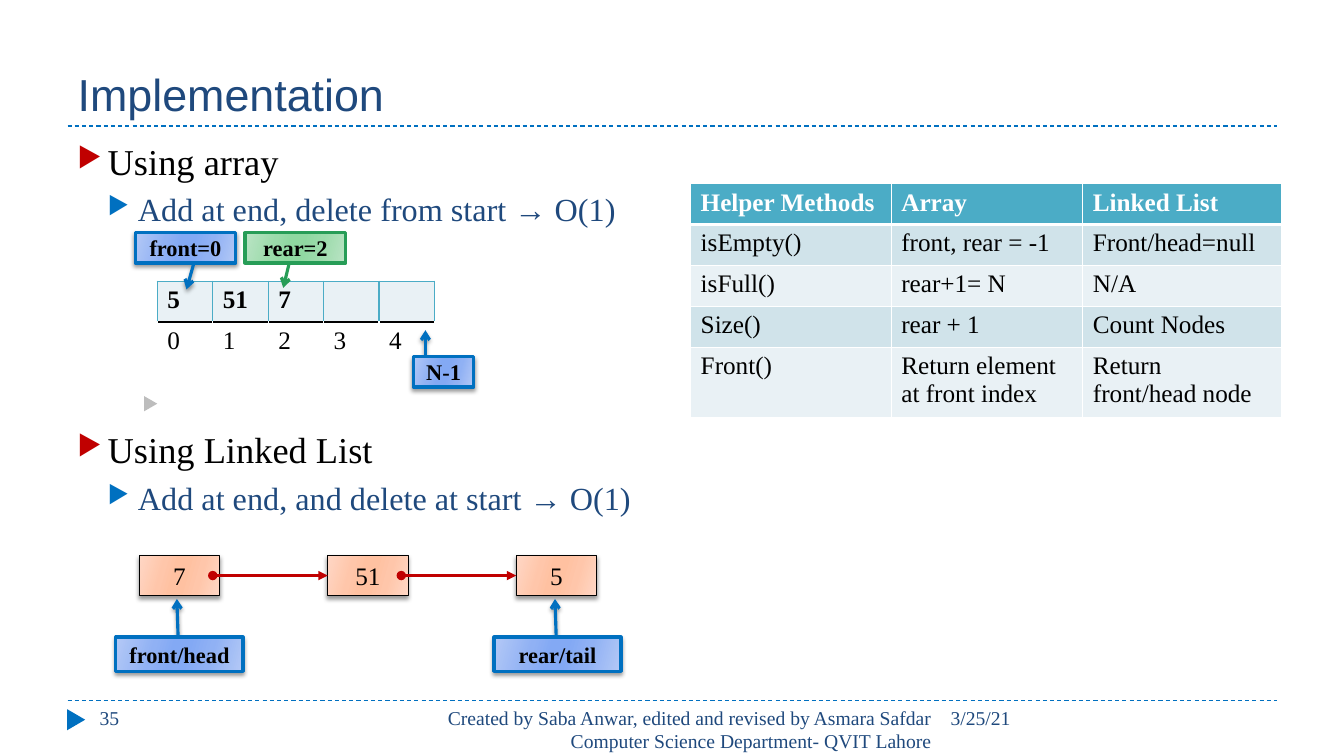
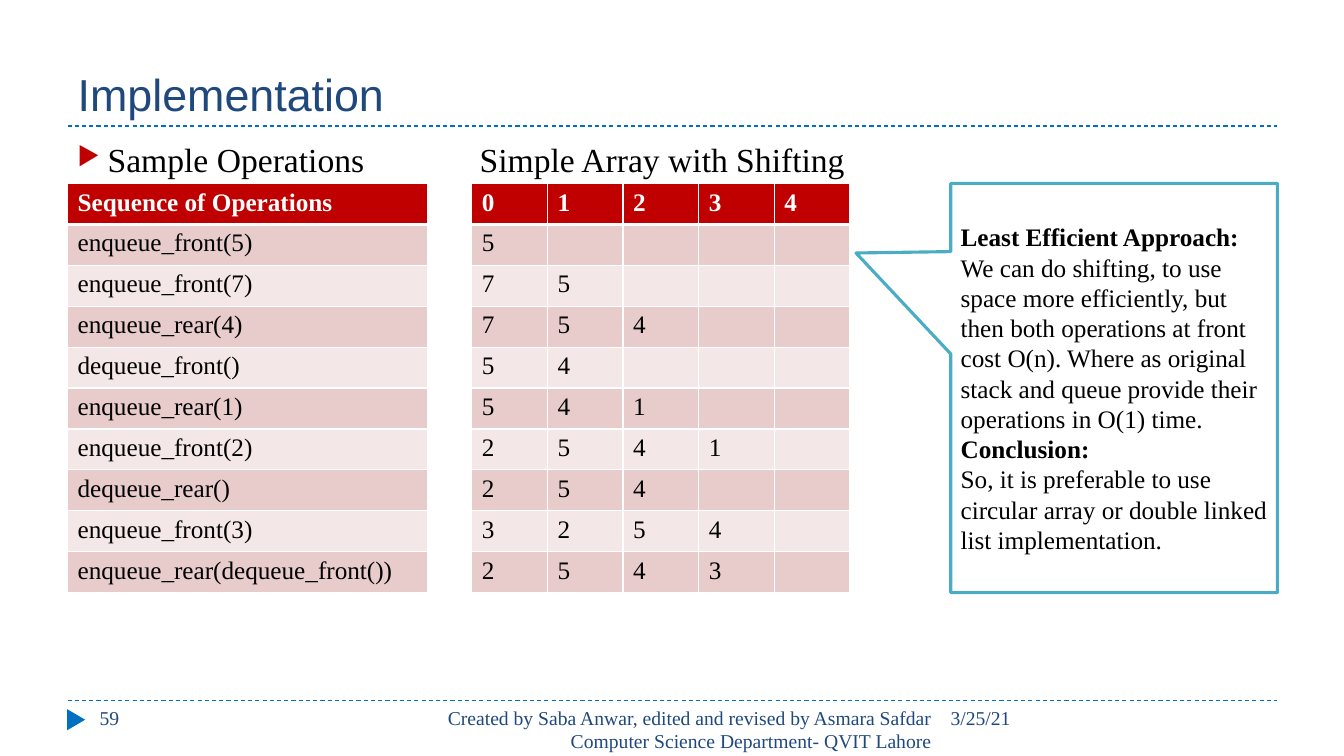
from collections.abc import Sequence
from dataclasses import dataclass

from lxml import etree
from pptx import Presentation
from pptx import util as u
from pptx.dml.color import RGBColor
from pptx.enum import dml, shapes, text
from pptx.oxml.ns import qn


@dataclass(frozen=True)
class Theme:
    navy: str = "1F497D"
    blue: str = "0070C0"
    red: str = "C00000"
    green: str = "279D57"
    teal: str = "4BACC6"
    gray: str = "BDBDBD"
    black: str = "000000"
    white: str = "FFFFFF"
    # Gradient colours run from the edge to the middle
    blue_glow: tuple = ("B4C9F6", "90B1F4", "83A9F4")
    green_glow: tuple = ("BBE4C5", "9BDBAB", "8FD8A1")
    orange_glow: tuple = ("FFD7C5", "FFC6AA", "FFC1A1")
    teal_bands: tuple = ("D0E3EA", "E9F1F5")
    red_bands: tuple = ("E8CCCC", "F4E7E7")
    heading_font: str = "Arial"
    body_font: str = "Times New Roman"
    title_size: int = 32
    topic_size: int = 26
    subtopic_size: int = 23
    sample_size: int = 24
    text_size: int = 18
    label_size: int = 16
    footer_size: int = 14


THEME = Theme()


@dataclass(frozen=True)
class Box:
    left: float
    top: float
    width: float
    height: float

    def lengths(self) -> tuple:
        return tuple(u.Inches(value) for value in (self.left, self.top, self.width, self.height))


@dataclass(frozen=True)
class Line:
    words: str
    size: int = THEME.text_size
    color: str = THEME.black
    bold: bool = False
    font: str = THEME.body_font
    align: text.PP_ALIGN = text.PP_ALIGN.LEFT
    space_before: int = 0
    indent: float = 0
    bullet: str = ""


@dataclass(frozen=True)
class Pointer:
    """Label with an arrow; adjustments are start y, start x, tip y, tip x."""
    words: str
    box: Box
    adjustments: tuple
    glow: tuple = THEME.blue_glow
    outline: str = THEME.blue
    shadow: bool = True


@dataclass(frozen=True)
class RowStyle:
    fill: str
    color: str
    bold: bool
    borders: dict


@dataclass(frozen=True)
class Grid:
    left: float
    top: float
    height: float
    widths: Sequence[float]
    rows: Sequence[Sequence[str]]
    styles: Sequence[RowStyle]  # first row, then the two alternating rows


# Shared formatting helpers
def add_child(parent, tag: str, **attributes):
    return etree.SubElement(parent, qn(tag), {key: str(value) for key, value in attributes.items()})


def add_color(parent, color: str):
    return add_child(parent, "a:srgbClr", val=color)


def set_values(target, values: dict) -> None:
    for name, value in values.items():
        setattr(target, name, value)


def write_lines(frame, lines: Sequence[Line], anchor=text.MSO_ANCHOR.TOP) -> None:
    set_values(frame, {"word_wrap": True, "vertical_anchor": anchor})
    for number, line in enumerate(lines):
        paragraph = frame.add_paragraph() if number else frame.paragraphs[0]
        set_values(paragraph, {"alignment": line.align, "space_before": u.Pt(line.space_before)})
        run = paragraph.add_run()
        run.text = line.words
        set_values(run.font, {"name": line.font, "size": u.Pt(line.size), "bold": line.bold})
        run.font.color.rgb = RGBColor.from_string(line.color)
        if line.bullet:
            properties = paragraph._p.get_or_add_pPr()
            properties.set("marL", str(u.Inches(line.indent)))
            properties.set("indent", str(u.Inches(-0.3)))
            add_color(add_child(properties, "a:buClr"), line.bullet)
            add_child(properties, "a:buSzPct", val=76000)
            add_child(properties, "a:buChar", char="▶")


def add_text(slide, box: Box, *lines: Line) -> None:
    write_lines(slide.shapes.add_textbox(*box.lengths()).text_frame, lines)


def set_outline(shape, color: str, width: float) -> None:
    shape.line.color.rgb = RGBColor.from_string(color)
    shape.line.width = u.Pt(width)


def add_line_ends(shape, **ends: str) -> None:
    outline = shape._element.spPr.find(qn("a:ln"))
    for name, kind in ends.items():
        add_child(outline, f"a:{name}End", type=kind)


def add_filled(slide, kind, box: Box, fill: str):
    shape = slide.shapes.add_shape(kind, *box.lengths())
    shape.shadow.inherit = False
    shape.fill.solid()
    shape.fill.fore_color.rgb = RGBColor.from_string(fill)
    shape.line.fill.background()
    return shape


def add_marker(slide, box: Box, color: str) -> None:
    add_filled(slide, shapes.MSO_SHAPE.ISOSCELES_TRIANGLE, box, color).rotation = 90


def add_glowing(slide, kind, box: Box, glow: tuple, line: Line, shadow: bool = True):
    shape = add_filled(slide, kind, box, glow[0])
    shape.fill.gradient()
    shape.fill.gradient_angle = 344
    stops = shape._element.spPr.find(qn("a:gradFill")).find(qn("a:gsLst"))
    stops.clear()
    for position, color in zip((0, 30, 45, 55, 73, 100), glow + glow[::-1]):
        add_color(add_child(stops, "a:gs", pos=position * 1000), color)
    if shadow:
        effects = shape._element.spPr.find(qn("a:effectLst"))
        cast = add_child(effects, "a:outerShdw", blurRad=u.Pt(3), dist=u.Pt(2),
                         dir=90 * 60000, rotWithShape=0)
        add_child(add_color(cast, THEME.black), "a:alpha", val=40000)
    write_lines(shape.text_frame, [line], text.MSO_ANCHOR.MIDDLE)
    return shape


def add_pointer(slide, pointer: Pointer) -> None:
    line = Line(pointer.words, THEME.label_size, bold=True, align=text.PP_ALIGN.CENTER)
    shape = add_glowing(slide, shapes.MSO_SHAPE.LINE_CALLOUT_1, pointer.box,
                        pointer.glow, line, pointer.shadow)
    for number, value in enumerate(pointer.adjustments):
        shape.adjustments[number] = value
    set_outline(shape, pointer.outline, 2.25)
    add_line_ends(shape, tail="arrow")


def add_connector(slide, start: tuple, end: tuple, color: str, width: float):
    connector = slide.shapes.add_connector(
        shapes.MSO_CONNECTOR.STRAIGHT, *(u.Inches(value) for value in start + end))
    set_outline(connector, color, width)
    add_child(connector._element.spPr, "a:effectLst")
    return connector


def set_borders(cell, borders: dict) -> None:
    properties = cell._tc.get_or_add_tcPr()
    sides = [side for side in "LRTB" if side in borders]
    for number, side in enumerate(sides):
        color, width = borders[side]
        border = etree.Element(qn(f"a:ln{side}"), {"w": str(u.Pt(width))})
        add_color(add_child(border, "a:solidFill"), color)
        properties.insert(number, border)


def add_grid(slide, grid: Grid) -> None:
    box = Box(grid.left, grid.top, sum(grid.widths), grid.height)
    table = slide.shapes.add_table(len(grid.rows), len(grid.widths), *box.lengths()).table
    set_values(table, {"first_row": False, "horz_banding": False})
    for column, width in zip(table.columns, grid.widths):
        column.width = u.Inches(width)
    for row, words in enumerate(grid.rows):
        style = grid.styles[1 + (row - 1) % 2 if row else 0]
        for column in range(len(grid.widths)):
            cell = table.cell(row, column)
            if style.fill:
                cell.fill.solid()
                cell.fill.fore_color.rgb = RGBColor.from_string(style.fill)
            else:
                cell.fill.background()
            set_borders(cell, style.borders)
            if column < len(words):
                write_lines(cell.text_frame, [Line(words[column], color=style.color, bold=style.bold)])


def banded(header: str, bands: tuple) -> list:
    thin = dict.fromkeys("LRTB", (THEME.white, 1))
    first = RowStyle(header, THEME.white, True, thin | {"B": (THEME.white, 3)})
    below_header = [RowStyle(fill, THEME.black, False, {side: thin[side] for side in "LRB"})
                    for fill in bands]
    return [first, *below_header]


def topic(words: str, size: int = THEME.topic_size) -> Line:
    return Line(words, size, space_before=6, indent=0.3, bullet=THEME.red)


def subtopic(words: str) -> Line:
    return Line(words, THEME.subtopic_size, THEME.navy, space_before=5, indent=0.6, bullet=THEME.blue)


def add_base_slide(presentation, title: str, number: str):
    slide = presentation.slides.add_slide(presentation.slide_layouts[5])
    # Title and rules
    holder = slide.shapes.title
    names = ("left", "top", "width", "height")
    set_values(holder, dict(zip(names, Box(0.67, 0.17, 12, 1.08).lengths())))
    write_lines(holder.text_frame, [Line(title, THEME.title_size, THEME.navy, font=THEME.heading_font)],
                text.MSO_ANCHOR.BOTTOM)
    for y in (1.25, 6.95):
        rule = add_connector(slide, (0.67, y), (12.67, y), THEME.blue, 0.75)
        rule.line.dash_style = dml.MSO_LINE.DASH
    # Footer
    add_marker(slide, Box(0.65, 7.05, 0.21, 0.18), THEME.blue)
    credit = ("Created by Saba Anwar, edited and revised by Asmara Safdar "
              "Computer Science Department- QVIT Lahore")
    for left, width, words, align in (
        (0.89, 2.89, number, text.PP_ALIGN.LEFT),
        (4.23, 5.11, credit, text.PP_ALIGN.RIGHT),
        (9.33, 3.34, "3/25/21", text.PP_ALIGN.LEFT),
    ):
        add_text(slide, Box(left, 6.95, width, 0.4),
                 Line(words, THEME.footer_size, THEME.navy, align=align))
    return slide


def build_structures(presentation) -> None:
    slide = add_base_slide(presentation, "Implementation", "35")
    # Topics
    for top, name, cost in (
        (1.33, "Using array", "Add at end, delete from start → O(1)"),
        (4.19, "Using Linked List", "Add at end, and delete at start → O(1)"),
    ):
        add_text(slide, Box(0.67, top, 6.1, 1), topic(name), subtopic(cost))
    add_marker(slide, Box(1.42, 3.94, 0.15, 0.13), THEME.gray)
    # Array and its indexes
    edge, base = (THEME.teal, 1), (THEME.black, 1)
    slots = RowStyle(THEME.teal_bands[1], THEME.black, True, {"L": edge, "R": edge, "T": edge, "B": base})
    indexes = RowStyle("", THEME.black, False, {"T": base})
    add_grid(slide, Grid(1.56, 2.79, 0.81, [0.55] * 5, [("5", "51", "7"), "01234"],
                         [slots, indexes, indexes]))
    # Linked list
    nodes = [add_glowing(slide, shapes.MSO_SHAPE.RECTANGLE, Box(1.38 + 1.87 * number, 5.51, 0.8, 0.4),
                         THEME.orange_glow, Line(value, align=text.PP_ALIGN.CENTER))
             for number, value in enumerate(("7", "51", "5"))]
    for node in nodes:
        set_outline(node, THEME.black, 0.75)
    for node, following in zip(nodes, nodes[1:]):
        start = (node.left.inches + 0.73, 5.71)
        link = add_connector(slide, start, (following.left.inches, 5.71), THEME.red, 2.25)
        link.end_connect(following, 1)
        add_line_ends(link, head="oval", tail="triangle")
    # Labels with arrows
    end_mark = (0.05, 0.49, -1.11, 0.48)
    for pointer in (
        Pointer("N-1", Box(4.1, 3.54, 0.6, 0.3), (0.03, 0.2, -0.88, 0.2)),
        Pointer("front/head", Box(1.15, 6.32, 1.26, 0.34), end_mark),
        Pointer("rear/tail", Box(4.9, 6.32, 1.26, 0.34), end_mark),
        Pointer("front=0", Box(1.34, 2.31, 1, 0.3), (1.04, 0.58, 1.87, 0.51)),
        Pointer("rear=2", Box(2.43, 2.31, 1, 0.3), (0.99, 0.44, 1.82, 0.38),
                THEME.green_glow, THEME.green, False),
    ):
        add_pointer(slide, pointer)
    # Helper methods
    helpers = [
        ("Helper Methods", "Array", "Linked List"),
        ("isEmpty()", "front, rear = -1", "Front/head=null"),
        ("isFull()", "rear+1= N", "N/A"),
        ("Size()", "rear + 1", "Count Nodes"),
        ("Front()", "Return element at front index", "Return front/head node"),
    ]
    add_grid(slide, Grid(6.85, 1.82, 2.03, (1.99, 1.9, 1.97), helpers,
                         banded(THEME.teal, THEME.teal_bands)))


def build_operations(presentation) -> None:
    slide = add_base_slide(presentation, "Implementation", "59")
    # Headings
    add_text(slide, Box(0.67, 1.33, 3.8, 0.5), topic("Sample Operations", THEME.sample_size))
    add_text(slide, Box(4.66, 1.33, 4.2, 0.5),
             Line("Simple Array with Shifting", THEME.sample_size, space_before=6))
    # Each operation and the array after it
    steps = [
        ("Sequence of Operations", "01234"), ("enqueue_front(5)", "5"), ("enqueue_front(7)", "75"),
        ("enqueue_rear(4)", "754"), ("dequeue_front()", "54"), ("enqueue_rear(1)", "541"),
        ("enqueue_front(2)", "2541"), ("dequeue_rear()", "254"), ("enqueue_front(3)", "3254"),
        ("enqueue_rear(dequeue_front())", "2543"),
    ]
    styles = banded(THEME.red, THEME.red_bands)
    add_grid(slide, Grid(0.67, 1.82, 4.06, [3.57], [(name,) for name, _ in steps], styles))
    add_grid(slide, Grid(4.68, 1.82, 4.06, [0.75] * 5, [values for _, values in steps], styles))
    # Conclusion
    callout = add_filled(slide, shapes.MSO_SHAPE.RECTANGULAR_CALLOUT, Box(9.43, 1.82, 3.24, 4.06), THEME.white)
    set_outline(callout, THEME.teal, 2.25)
    callout.adjustments[0], callout.adjustments[1] = -0.79, -0.33
    write_lines(callout.text_frame, [
        Line("Least Efficient Approach:", bold=True),
        Line("We can do shifting, to use space more efficiently, but then both operations at front "
             "cost O(n). Where as original stack and queue provide their operations in O(1) time."),
        Line("Conclusion:", bold=True),
        Line("So, it is preferable to use circular array or double linked list implementation."),
    ], text.MSO_ANCHOR.MIDDLE)


def main() -> None:
    presentation = Presentation()
    set_values(presentation, {"slide_width": u.Inches(13.33), "slide_height": u.Inches(7.5)})
    build_structures(presentation)
    build_operations(presentation)
    presentation.save("out.pptx")


if __name__ == "__main__":
    main()
